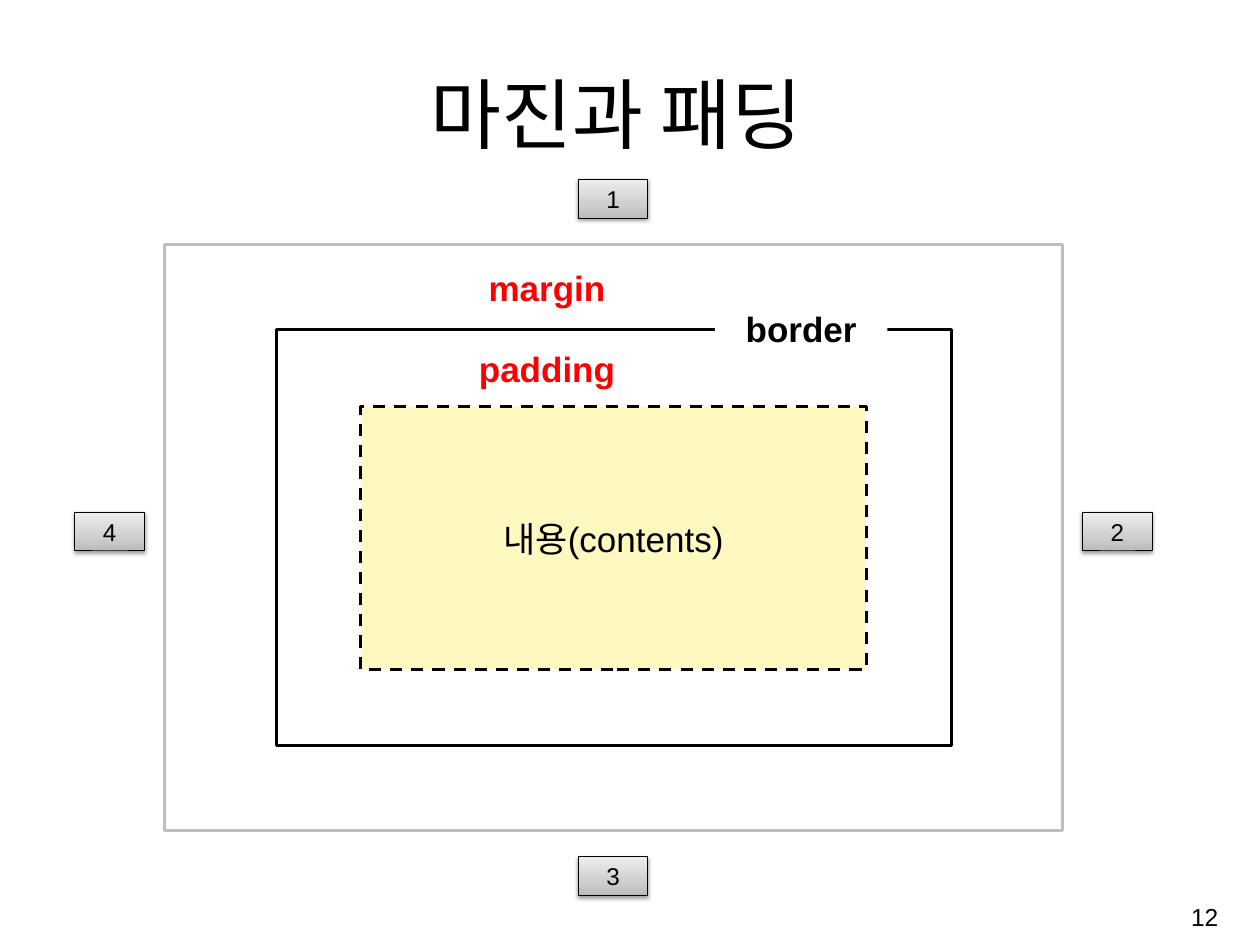
"""Build the slide that explains margin, border and padding of a box."""
from pptx import Presentation
from pptx.dml.color import RGBColor
from pptx.enum.dml import MSO_LINE_DASH_STYLE as Dash
from pptx.enum.shapes import MSO_SHAPE as Shape
from pptx.enum.text import MSO_ANCHOR as Anchor, PP_ALIGN as Align
from pptx.oxml import parse_xml
from pptx.oxml.ns import nsdecls
from pptx.util import Inches, Pt

GRADIENT = f"""<a:gradFill {nsdecls("a")} rotWithShape="1"><a:gsLst>
<a:gs pos="0"><a:srgbClr val="BABABA"/></a:gs>
<a:gs pos="35000"><a:srgbClr val="CFCFCF"/></a:gs>
<a:gs pos="100000"><a:srgbClr val="EDEDED"/></a:gs>
</a:gsLst><a:lin ang="16200000" scaled="1"/></a:gradFill>"""
SHADOW = f"""<a:outerShdw {nsdecls("a")} blurRad="39370" dist="20320" dir="5400000"
rotWithShape="0"><a:srgbClr val="000000"><a:alpha val="38000"/></a:srgbClr></a:outerShdw>"""

deck = Presentation()
deck.slide_width, deck.slide_height = Inches(12.99), Inches(9.74)
slide = deck.slides.add_slide(deck.slide_layouts[6])


def add_box(place, fill=None, line=None, width=2.25):
    box = slide.shapes.add_shape(Shape.RECTANGLE, *map(Inches, place))
    box.shadow.inherit = False
    for part, color in ((box.fill, fill), (box.line.fill, line)):
        if color:
            part.solid()
            part.fore_color.rgb = RGBColor.from_string(color)
        else:
            part.background()
    if line:
        box.line.width = Pt(width)
    return box


def write(box, text, size, color="000000", bold=False, align=Align.CENTER, anchor=Anchor.TOP):
    frame = box.text_frame
    frame.word_wrap = True
    frame.vertical_anchor = anchor
    para = frame.paragraphs[0]
    para.text = text
    para.alignment = align
    para.font.name = "Arial"
    para.font.size = Pt(size)
    para.font.bold = bold
    para.font.color.rgb = RGBColor.from_string(color)


add_box((1.7, 2.52, 9.25, 6.04), line="BFBFBF")
add_box((2.85, 3.4, 6.96, 4.28), line="000000")

title = slide.shapes.add_textbox(*map(Inches, (1.05, 0.61, 10.61, 1.08)))
write(title, "마진과 패딩", 57.2, anchor=Anchor.BOTTOM)

contents = add_box((3.72, 4.19, 5.21, 2.71), "FFF8C1", "000000")
contents.line.dash_style = Dash.DASH
write(contents, "내용(contents)", 26, anchor=Anchor.MIDDLE)

for word, top in (("padding", 3.53), ("margin", 2.7)):
    label = slide.shapes.add_textbox(*map(Inches, (4.55, top, 2.18, 0.54)))
    write(label, word, 26, "FF0000", bold=True)

border_label = add_box((7.37, 3.12, 1.78, 0.54), "FFFFFF")
write(border_label, "border", 26, bold=True)

side_places = ((5.96, 1.85), (11.16, 5.28), (5.96, 8.83), (0.77, 5.28))
for number, (left, top) in enumerate(side_places, start=1):
    side = add_box((left, top, 0.72, 0.4), line="000000", width=0.75)
    properties = side.element.spPr
    properties.replace(properties.find("{*}noFill"), parse_xml(GRADIENT))
    properties.find("{*}effectLst").append(parse_xml(SHADOW))
    write(side, str(number), 18)

page_number = slide.shapes.add_textbox(*map(Inches, (9.95, 9.15, 2.71, 0.6)))
write(page_number, "12", 18.2, align=Align.RIGHT, anchor=Anchor.MIDDLE)

deck.save("out.pptx")
